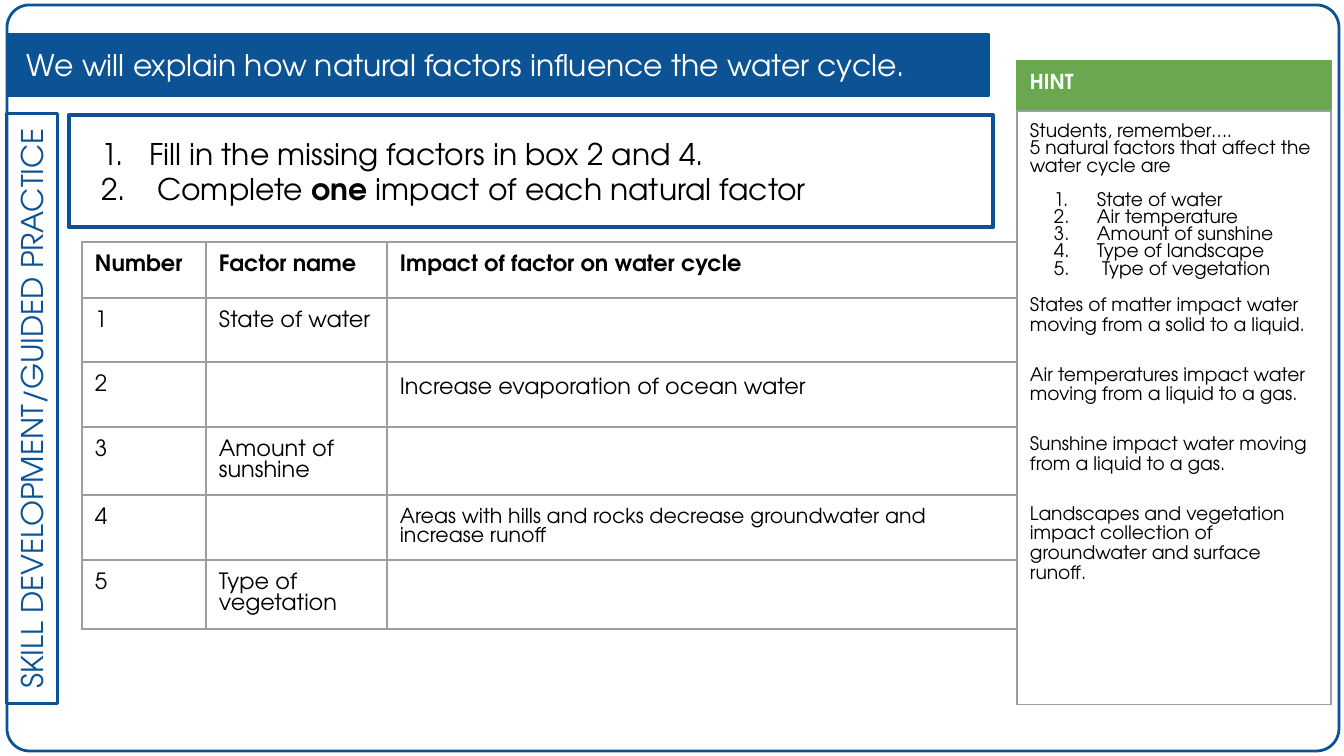
"""Build a slide of guided practice on the natural factors in the water cycle."""
import pptx
import pptx.dml.color
import pptx.enum.shapes
import pptx.enum.text
import pptx.oxml
import pptx.oxml.ns
import pptx.util

FONT = "TeX Gyre Adventor"
BLUE, GREEN, GREY, BLACK, WHITE = "0B5394", "6AA84F", "9E9E9E", "000000", "FFFFFF"
NS = pptx.oxml.ns.nsdecls("a")


def px(n):
    return pptx.util.Emu(round(n * 914400 / 134.4))


def rgb(value):
    return pptx.dml.color.RGBColor.from_string(value)


prs = pptx.Presentation()
prs.slide_width, prs.slide_height = px(1344), px(756)
s = prs.slides.add_slide(prs.slide_layouts[6])
shapes = pptx.enum.shapes.MSO_SHAPE
align = pptx.enum.text.PP_ALIGN

# kind, box, rotation, fill, line width, alignment, text colour, paragraphs
tasks = [
    [("Fill in the missing factors in box 2 and 4.", False)],
    [(" Complete ", False), ("one ", True), ("impact of each natural factor", False)],
]
label = [[("SKILL DEVELOPMENT/GUIDED PRACTICE", False)]]
goal = [[("We will explain how natural factors influence the water cycle.", False)]]
for kind, box, turn, fill, width, side, color, paras in [
    (shapes.ROUNDED_RECTANGLE, (7, 5, 1332, 746), 0, None, 1.5, align.LEFT, BLACK, []),
    (shapes.RECTANGLE, (-263, 383, 590, 51), 270, None, 1.5, align.CENTER, BLUE, label),
    (shapes.RECTANGLE, (7, 34, 982, 62), 0, BLUE, 0.75, align.LEFT, WHITE, goal),
    (shapes.RECTANGLE, (69, 115, 924, 112), 0, None, 2.25, align.LEFT, BLACK, tasks),
]:
    sp = s.shapes.add_shape(kind, *map(px, box))
    sp.shadow.inherit = False
    sp.rotation = turn
    if kind == shapes.ROUNDED_RECTANGLE:
        sp.adjustments[0] = 0.03
    if fill:
        sp.fill.solid()
        sp.fill.fore_color.rgb = rgb(fill)
    else:
        sp.fill.background()
    sp.line.color.rgb = rgb(BLUE)
    sp.line.width = pptx.util.Pt(width)
    tf = sp.text_frame
    tf.word_wrap = True
    tf.vertical_anchor = pptx.enum.text.MSO_ANCHOR.MIDDLE
    tf.margin_left = px(20 if paras is goal else 13)
    tf.margin_right = tf.margin_top = tf.margin_bottom = px(13)
    for i, runs in enumerate(paras):
        p = tf.paragraphs[0] if i == 0 else tf.add_paragraph()
        p.alignment = side
        if paras is tasks:
            pPr = p._p.get_or_add_pPr()
            pPr.set("marL", str(px(67)))
            pPr.set("indent", str(px(-48)))
            pPr.append(pptx.oxml.parse_xml(f'<a:buFont {NS} typeface="{FONT}"/>'))
            pPr.append(pptx.oxml.parse_xml(f'<a:buAutoNum {NS} type="arabicPeriod"/>'))
        for text, bold in runs:
            r = p.add_run()
            r.text = text
            r.font.name, r.font.size, r.font.bold = FONT, pptx.util.Pt(16), bold
            r.font.color.rgb = rgb(color)

# text, size, bold, colour, numbered, line spacing, space before
hint = [
    ("Students, remember….", 10, False, BLACK, False, 1, 0),
    ("5 natural factors that affect the water cycle are", 10, False, BLACK, False, 1, 0),
]
for i, text in enumerate(["State of water", "Air temperature", "Amount of sunshine",
                          "Type of landscape", " Type of vegetation"]):
    hint.append((text, 10, False, BLACK, True, 1, 0 if i else 9))
for i, text in enumerate([
    "States of matter impact water moving from a solid to a liquid.",
    "Air temperatures impact water moving from a liquid to a gas.",
    "Sunshine impact water moving from a liquid to a gas.",
    "Landscapes and vegetation impact collection of groundwater and surface runoff.",
]):
    hint.append((text, 10, False, BLACK, False, 1.15, 16 if i else 9))

factors = [
    ("Number", "Factor name", "Impact of factor on water cycle"),
    ("1", "State of water", ""),
    ("2", "", "Increase evaporation of ocean water"),
    ("3", "Amount of sunshine", ""),
    ("4", "", "Areas with hills and rocks decrease groundwater and increase runoff"),
    ("5", "Type of vegetation", ""),
]
grid = []
for y, row in enumerate(factors):
    grid.append([])
    for text in row:
        size = 11 if text.startswith("Areas") else 12
        spacing = 1.15 if text.startswith("Increase") else 1
        grid[-1].append([(text, size, y == 0, BLACK, False, spacing, 0)] if text else [])

for left, top, cols, rows, cells, fills, lines in [
    (1017, 61, [314], [50, 594], [[[("HINT", 11, True, WHITE, False, 1, 0)]], [hint]],
     [GREEN, None], [GREEN, GREY]),
    (82, 242, [124, 181, 630], [56, 64, 65, 68, 65, 69], grid, [None] * 6, [GREY] * 6),
]:
    frame = s.shapes.add_table(len(rows), len(cols), px(left), px(top), px(sum(cols)), px(sum(rows)))
    table = frame.table
    table.first_row = table.horz_banding = False
    for i, width in enumerate(cols):
        table.columns[i].width = px(width)
    for y, height in enumerate(rows):
        table.rows[y].height = px(height)
        for x, paras in enumerate(cells[y]):
            cell = table.cell(y, x)
            cell.margin_left = cell.margin_right = px(13)
            cell.margin_top = cell.margin_bottom = px(13 if paras else 0)
            tcPr = cell._tc.get_or_add_tcPr()
            for edge in ("lnL", "lnR", "lnT", "lnB"):
                tcPr.append(pptx.oxml.parse_xml(
                    f'<a:{edge} {NS} w="9525"><a:solidFill><a:srgbClr val="{lines[y]}"/>'
                    f'</a:solidFill></a:{edge}>'))
            if fills[y]:
                cell.fill.solid()
                cell.fill.fore_color.rgb = rgb(fills[y])
            else:
                cell.fill.background()
            tf = cell.text_frame
            for i, (text, size, bold, color, numbered, spacing, before) in enumerate(paras):
                p = tf.paragraphs[0] if i == 0 else tf.add_paragraph()
                p.line_spacing = spacing
                if before:
                    p.space_before = pptx.util.Pt(before)
                if numbered:
                    pPr = p._p.get_or_add_pPr()
                    pPr.set("marL", str(px(67)))
                    pPr.set("indent", str(px(-43)))
                    pPr.append(pptx.oxml.parse_xml(f'<a:buFont {NS} typeface="{FONT}"/>'))
                    pPr.append(pptx.oxml.parse_xml(f'<a:buAutoNum {NS} type="arabicPeriod"/>'))
                r = p.add_run()
                r.text = text
                r.font.name, r.font.size, r.font.bold = FONT, pptx.util.Pt(size), bold
                r.font.color.rgb = rgb(color)

prs.save("out.pptx")
